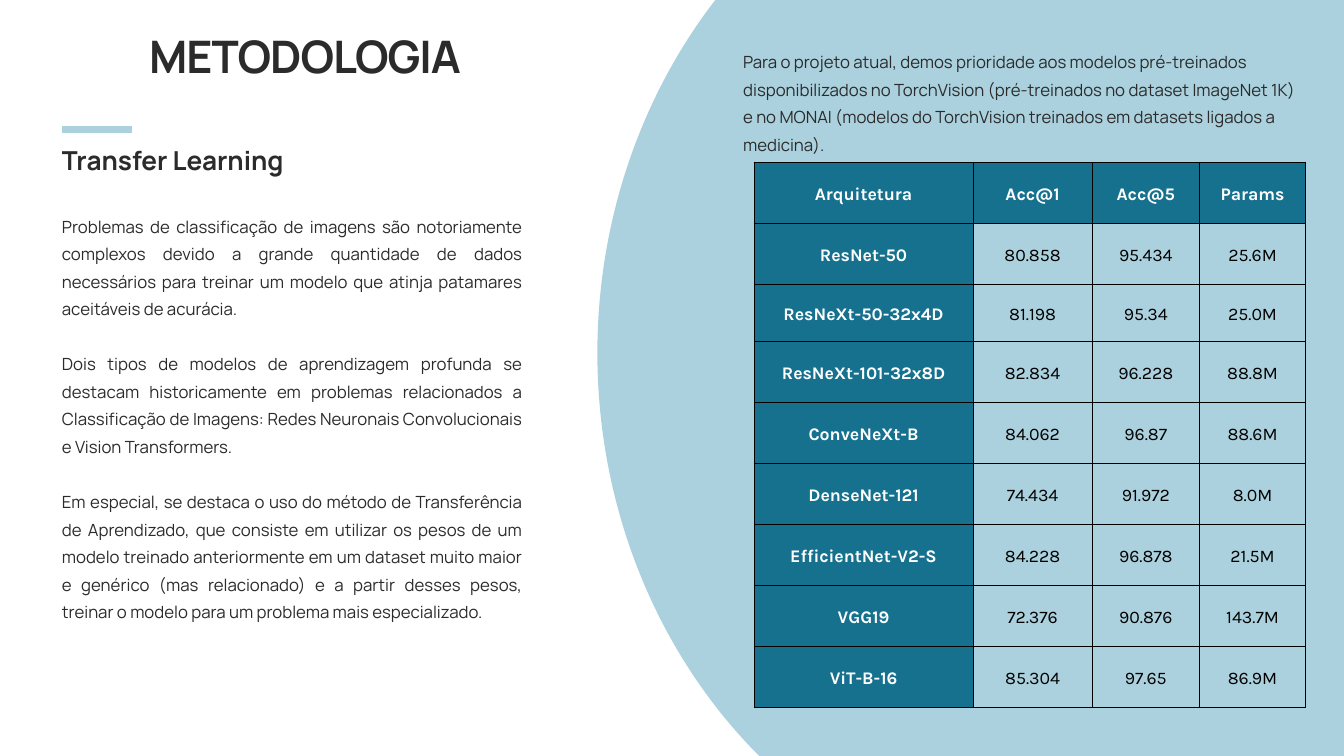
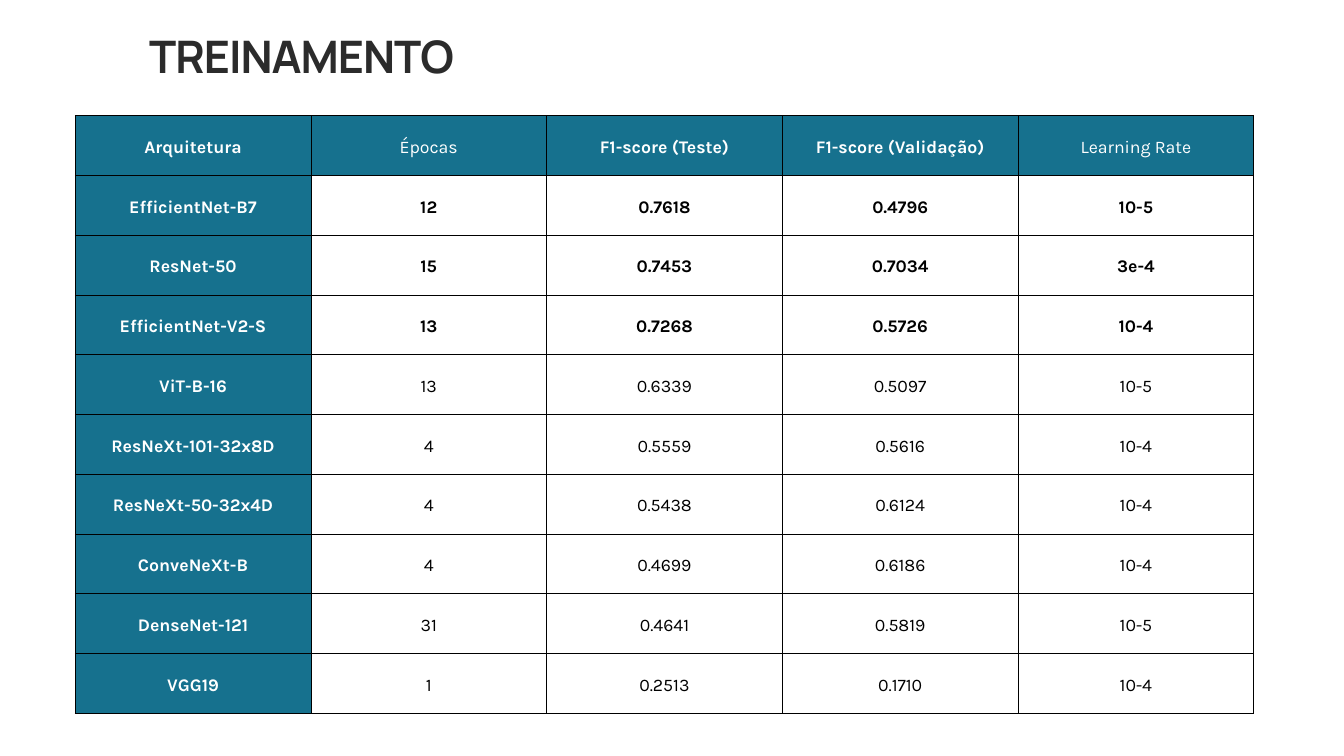
"""Builds the methodology and training slides of a transfer learning deck."""
from lxml.etree import SubElement
from pptx import Presentation
from pptx.dml.color import RGBColor
from pptx.enum.shapes import MSO_CONNECTOR, MSO_SHAPE
from pptx.enum.text import MSO_ANCHOR, MSO_AUTO_SIZE, PP_ALIGN as ALIGN
from pptx.oxml import parse_xml
from pptx.oxml.ns import nsdecls, qn
from pptx.util import Cm, Pt

INK = RGBColor(0x2B, 0x2B, 0x2B)
SKY = RGBColor(0xAA, 0xD1, 0xDD)
TEAL = RGBColor(0x16, 0x71, 0x8E)
WHITE = RGBColor(0xFF, 0xFF, 0xFF)
BLACK = RGBColor(0x00, 0x00, 0x00)
TEXT_FONT, TABLE_FONT = "Manrope", "Karla"
TITLE_ONLY, TITLE_AND_BODY = 5, 1
MARGIN = 2.34
CELL_INSET = Cm(0.53)

METHOD_TEXTS = [
    "Problemas de classificação de imagens são notoriamente complexos devido a grande "
    "quantidade de dados necessários para treinar um modelo que atinja patamares "
    "aceitáveis de acurácia.",
    "Dois tipos de modelos de aprendizagem profunda se destacam historicamente em "
    "problemas relacionados a Classificação de Imagens: Redes Neuronais Convolucionais "
    "e Vision Transformers.",
    "Em especial, se destaca o uso do método de Transferência de Aprendizado, que "
    "consiste em utilizar os pesos de um modelo treinado anteriormente em um dataset "
    "muito maior e genérico (mas relacionado) e a partir desses pesos, treinar o modelo "
    "para um problema mais especializado.",
]
MODELS_TEXT = (
    "Para o projeto atual, demos prioridade aos modelos pré-treinados disponibilizados "
    "no TorchVision (pré-treinados no dataset ImageNet 1K) e no MONAI (modelos do "
    "TorchVision treinados em datasets ligados a medicina)."
)
MODELS = [
    ("Arquitetura", "Acc@1", "Acc@5", "Params"),
    ("ResNet-50", "80.858", "95.434", "25.6M"),
    ("ResNeXt-50-32x4D", "81.198", "95.34", "25.0M"),
    ("ResNeXt-101-32x8D", "82.834", "96.228", "88.8M"),
    ("ConveNeXt-B", "84.062", "96.87", "88.6M"),
    ("DenseNet-121", "74.434", "91.972", "8.0M"),
    ("EfficientNet-V2-S", "84.228", "96.878", "21.5M"),
    ("VGG19", "72.376", "90.876", "143.7M"),
    ("ViT-B-16", "85.304", "97.65", "86.9M"),
]
RESULTS = [
    ("Arquitetura", "Épocas", "F1-score (Teste)", "F1-score (Validação)", "Learning Rate"),
    ("EfficientNet-B7", "12", "0.7618", "0.4796", "10-5"),
    ("ResNet-50", "15", "0.7453", "0.7034", "3e-4"),
    ("EfficientNet-V2-S", "13", "0.7268", "0.5726", "10-4"),
    ("ViT-B-16", "13", "0.6339", "0.5097", "10-5"),
    ("ResNeXt-101-32x8D", "4", "0.5559", "0.5616", "10-4"),
    ("ResNeXt-50-32x4D", "4", "0.5438", "0.6124", "10-4"),
    ("ConveNeXt-B", "4", "0.4699", "0.6186", "10-4"),
    ("DenseNet-121", "31", "0.4641", "0.5819", "10-5"),
    ("VGG19", "1", "0.2513", "0.1710", "10-4"),
]


class DeckBuilder:
    """Holds the deck, its style and the current slide."""

    def __init__(self):
        self.deck = Presentation()
        self.deck.slide_width, self.deck.slide_height = Cm(50.8), Cm(28.58)
        self.page = None

    def new_page(self, title, layout):
        self.page = self.deck.slides.add_slide(self.deck.slide_layouts[layout])
        box = self.page.shapes.title
        self.place(box, 5.64, 1.35, 23.82, 1.93)
        self.fill_text(box.text_frame, [title], 48, 49.9, bold=True)
        span = box.text_frame.paragraphs[0].runs[0]
        span._r.get_or_add_rPr().set("spc", "-110")

    def place(self, box, left, top, width, height):
        box.left, box.top, box.width, box.height = map(Cm, (left, top, width, height))

    def style(self, para, font, size, spacing, color, bold, align):
        para.alignment = align
        para.line_spacing = Pt(spacing)
        para.font.name, para.font.size = font, Pt(size)
        para.font.bold, para.font.color.rgb = bold, color

    def fill_text(self, frame, texts, size, spacing, bold=False, align=ALIGN.LEFT):
        frame.word_wrap = True
        frame.auto_size = MSO_AUTO_SIZE.NONE
        frame.vertical_anchor = MSO_ANCHOR.TOP
        frame.margin_left = frame.margin_right = frame.margin_top = frame.margin_bottom = 0
        for index, text in enumerate(texts):
            para = frame.add_paragraph() if index else frame.paragraphs[0]
            para.add_run().text = text
            properties = para._p.get_or_add_pPr()
            properties.set("marL", "0")
            properties.set("indent", "0")
            SubElement(properties, qn("a:buNone"))
            para.space_before = Pt(spacing if index else 0)
            self.style(para, TEXT_FONT, size, spacing, INK, bold, align)

    def body(self, left, top, width, height, texts):
        box = self.page.placeholders[1]
        self.place(box, left, top, width, height)
        self.fill_text(box.text_frame, texts, 18, 29.5, align=ALIGN.JUSTIFY)

    def text(self, left, top, width, height, text, size, spacing, bold=False):
        box = self.page.shapes.add_textbox(*map(Cm, (left, top, width, height)))
        self.fill_text(box.text_frame, [text], size, spacing, bold)

    def oval(self, left, top, width, height):
        disc = self.page.shapes.add_shape(
            MSO_SHAPE.OVAL, *map(Cm, (left, top, width, height)))
        disc.shadow.inherit = False
        disc.fill.solid()
        disc.fill.fore_color.rgb = SKY
        disc.line.fill.background()

    def rule(self, left, top, length):
        bar = self.page.shapes.add_connector(
            MSO_CONNECTOR.STRAIGHT, *map(Cm, (left, top, left + length, top)))
        bar.line.color.rgb, bar.line.width = SKY, Pt(7.5)
        SubElement(bar._element.spPr, qn("a:effectLst"))

    def cell(self, cell, text, filled, bold):
        properties = cell._tc.get_or_add_tcPr()
        for side in "LRTB":
            properties.append(parse_xml(
                f'<a:ln{side} {nsdecls("a")} w="{Pt(0.75)}"><a:solidFill>'
                f'<a:srgbClr val="{BLACK}"/></a:solidFill></a:ln{side}>'))
        if filled:
            cell.fill.solid()
            cell.fill.fore_color.rgb = TEAL
        else:
            cell.fill.background()
        cell.margin_left = cell.margin_right = CELL_INSET
        cell.margin_top = cell.margin_bottom = CELL_INSET
        cell.vertical_anchor = MSO_ANCHOR.MIDDLE
        para = cell.text_frame.paragraphs[0]
        para.add_run().text = text
        color = WHITE if filled else BLACK
        self.style(para, TABLE_FONT, 19, 26.6, color, bold, ALIGN.CENTER)

    def table(self, left, top, widths, heights, rows, best_rows=0, plain_heads=()):
        frame = self.page.shapes.add_table(
            len(rows), len(widths),
            *map(Cm, (left, top, sum(widths), sum(heights))))
        grid = frame.table
        grid.first_row = grid.horz_banding = False
        for column, width in zip(grid.columns, widths):
            column.width = Cm(width)
        for row_index, (texts, height) in enumerate(zip(rows, heights)):
            grid.rows[row_index].height = Cm(height)
            for column_index, text in enumerate(texts):
                filled = row_index == 0 or column_index == 0
                bold = (filled or row_index <= best_rows) and text not in plain_heads
                self.cell(grid.cell(row_index, column_index), text, filled, bold)


def main():
    builder = DeckBuilder()

    builder.new_page("METODOLOGIA", TITLE_AND_BODY)
    builder.oval(22.58, -7.24, 37.36, 41.17)
    builder.body(MARGIN, 7.9, 17.4, 17.53, METHOD_TEXTS)
    builder.rule(MARGIN, 4.88, 2.64)
    builder.text(MARGIN, 5.41, 14.81, 1.27, "Transfer Learning", 28, 34.7, bold=True)
    builder.text(28.09, 1.68, 21.29, 4.11, MODELS_TEXT, 18, 29.5)
    model_heights = [2.31] * 2 + [2.15] + [2.31] * 6
    builder.table(28.5, 6.12, [8.28, 4.5, 4.06, 4.01], model_heights, MODELS)

    builder.new_page("TREINAMENTO", TITLE_ONLY)
    builder.table(2.84, 4.37, [8.91] * 5, [2.26] * 10, RESULTS,
                  best_rows=3, plain_heads=("Épocas", "Learning Rate"))

    builder.deck.save("out.pptx")


if __name__ == "__main__":
    main()
